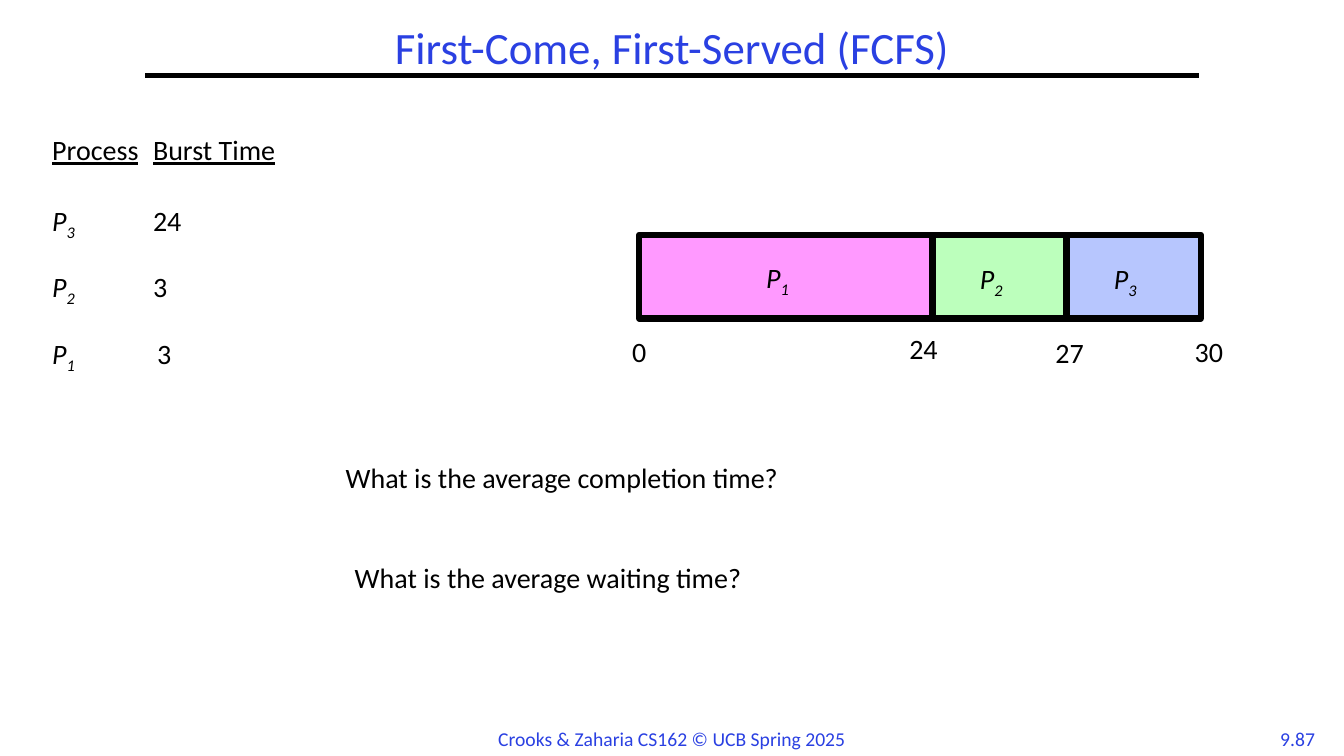
from dataclasses import dataclass

import lxml.etree
import pptx
import pptx.dml.color
import pptx.enum.shapes
import pptx.enum.text
import pptx.oxml
import pptx.oxml.ns
import pptx.shapes.autoshape
import pptx.slide
import pptx.text.text
import pptx.util

Inches = pptx.util.Inches
Pt = pptx.util.Pt
RGBColor = pptx.dml.color.RGBColor
ALIGN = pptx.enum.text.PP_ALIGN

FONT = "Calibri"
BLACK = RGBColor(0x00, 0x00, 0x00)
BLUE = RGBColor(0x2A, 0x40, 0xE2)
PINK = RGBColor(0xFF, 0x99, 0xFF)
GREEN = RGBColor(0xBC, 0xFF, 0xBC)
PERIWINKLE = RGBColor(0xB7, 0xC6, 0xFE)
BODY_SIZE = 20
BAR_TOP = 2.33
BAR_HEIGHT = 0.83


@dataclass(frozen=True)
class Burst:
    number: str
    left: float
    width: float
    fill: RGBColor
    label_left: float
    label_top: float


@dataclass(frozen=True)
class Label:
    text: str
    left: float
    top: float
    width: float
    height: float


@dataclass(frozen=True)
class ProcessRow:
    number: str
    burst_time: str
    tab: float
    space_before: float


BURSTS = [
    Burst("3", 10.58, 1.33, PERIWINKLE, 10.95, 2.58),
    Burst("2", 9.25, 1.33, GREEN, 9.62, 2.58),
    Burst("1", 6.34, 2.91, PINK, 7.5, 2.57),
]
LABELS = [
    Label("0", 6.17, 3.33, 0.58, 0.33),
    Label("24", 8.92, 3.3, 0.7, 0.33),
    Label("27", 10.37, 3.34, 0.7, 0.33),
    Label("30", 11.75, 3.33, 1, 0.33),
    Label("What is the average completion time?", 3.33, 4.58, 7.33, 2.83),
    Label("What is the average waiting time?", 3.42, 5.58, 7.33, 2.83),
]
FOOTERS = [
    Label("9.87", 12.58, 7.16, 0.58, 0.33),
    Label("Crooks & Zaharia CS162 © UCB Spring 2025", 4.83, 7.16, 3.67, 0.34),
]
PROCESS_ROWS = [
    ProcessRow("3", "24", 1, 29.5),
    ProcessRow("2", "3", 1, 25.5),
    ProcessRow("1", "3", 1.04, 25.5),
]


def add_run(paragraph: pptx.text.text._Paragraph, text: str, size: float = BODY_SIZE,
            color: RGBColor = BLACK, italic: bool = False,
            underline: bool = False, subscript: bool = False) -> None:
    run = paragraph.add_run()
    run.text = text
    font = run.font
    font.name = FONT
    font.size = Pt(size)
    font.color.rgb = color
    font.italic = italic
    font.underline = underline
    if subscript:
        run._r.get_or_add_rPr().set("baseline", "-25000")


def add_process_name(paragraph: pptx.text.text._Paragraph, number: str) -> None:
    add_run(paragraph, "P", italic=True)
    add_run(paragraph, number, italic=True, subscript=True)


def add_tab_stop(paragraph: pptx.text.text._Paragraph, position: float) -> None:
    properties = paragraph._p.get_or_add_pPr()
    tabs = lxml.etree.SubElement(properties, pptx.oxml.ns.qn("a:tabLst"))
    tab = lxml.etree.SubElement(tabs, pptx.oxml.ns.qn("a:tab"))
    tab.set("pos", str(int(Inches(position))))
    tab.set("algn", "l")


def add_text_box(slide: pptx.slide.Slide, left: float, top: float, width: float,
                 height: float, wrap: bool = True) -> pptx.text.text.TextFrame:
    shape = slide.shapes.add_textbox(
        Inches(left), Inches(top), Inches(width), Inches(height))
    shape.text_frame.word_wrap = wrap
    shape.text_frame.paragraphs[0].line_spacing = 0.8
    return shape.text_frame


def add_label(slide: pptx.slide.Slide, label: Label) -> None:
    frame = add_text_box(slide, label.left, label.top, label.width, label.height)
    add_run(frame.paragraphs[0], label.text)


def add_footer(slide: pptx.slide.Slide, footer: Label) -> None:
    frame = add_text_box(
        slide, footer.left, footer.top, footer.width, footer.height, wrap=False)
    paragraph = frame.paragraphs[0]
    paragraph.line_spacing = 1.0
    paragraph.alignment = ALIGN.CENTER
    add_run(paragraph, footer.text, 14, BLUE)


def add_title(slide: pptx.slide.Slide) -> None:
    title = slide.shapes.title
    title.left, title.top = Inches(0), Inches(0.25)
    title.width, title.height = Inches(13.33), Inches(0.5)
    frame = title.text_frame
    frame.auto_size = pptx.enum.text.MSO_AUTO_SIZE.NONE
    frame.vertical_anchor = pptx.enum.text.MSO_ANCHOR.MIDDLE
    paragraph = frame.paragraphs[0]
    paragraph.alignment = ALIGN.CENTER
    paragraph.line_spacing = 0.9
    add_run(paragraph, "First-Come, First-Served (FCFS)", 32, BLUE)


def add_title_rule(slide: pptx.slide.Slide) -> None:
    rule = slide.shapes.add_connector(
        pptx.enum.shapes.MSO_CONNECTOR.STRAIGHT,
        Inches(1.44), Inches(0.75), Inches(11.89), Inches(0.75))
    rule.line.color.rgb = BLACK
    rule.line.width = Pt(3)
    lxml.etree.SubElement(rule._element.spPr, pptx.oxml.ns.qn("a:effectLst"))


def add_process_list(slide: pptx.slide.Slide) -> None:
    frame = add_text_box(slide, 0.42, 1.33, 5.04, 2.83)
    header = frame.paragraphs[0]
    add_tab_stop(header, 1)
    add_run(header, "Process", underline=True)
    add_run(header, "\t")
    add_run(header, "Burst Time", underline=True)
    for row in PROCESS_ROWS:
        paragraph = frame.add_paragraph()
        add_tab_stop(paragraph, row.tab)
        paragraph.line_spacing = 0.8
        paragraph.space_before = Pt(row.space_before)
        add_process_name(paragraph, row.number)
        add_run(paragraph, "\t" + row.burst_time)


def add_bar(slide: pptx.slide.Slide, burst: Burst) -> None:
    shape = slide.shapes.add_shape(
        pptx.enum.shapes.MSO_SHAPE.RECTANGLE, Inches(burst.left),
        Inches(BAR_TOP), Inches(burst.width), Inches(BAR_HEIGHT))
    shape.shadow.inherit = False
    shape.fill.solid()
    shape.fill.fore_color.rgb = burst.fill
    shape.line.color.rgb = BLACK
    shape.line.width = Pt(4.5)


def main() -> None:
    presentation = pptx.Presentation()
    presentation.slide_width = Inches(13.33)
    presentation.slide_height = Inches(7.5)
    slide = presentation.slides.add_slide(presentation.slide_layouts[5])
    add_title(slide)
    add_title_rule(slide)
    for footer in FOOTERS:
        add_footer(slide, footer)
    add_process_list(slide)
    for burst in BURSTS:
        add_bar(slide, burst)
    for burst in BURSTS:
        frame = add_text_box(slide, burst.label_left, burst.label_top, 0.58, 0.33)
        add_process_name(frame.paragraphs[0], burst.number)
    for label in LABELS:
        add_label(slide, label)
    presentation.save("out.pptx")


if __name__ == "__main__":
    main()
